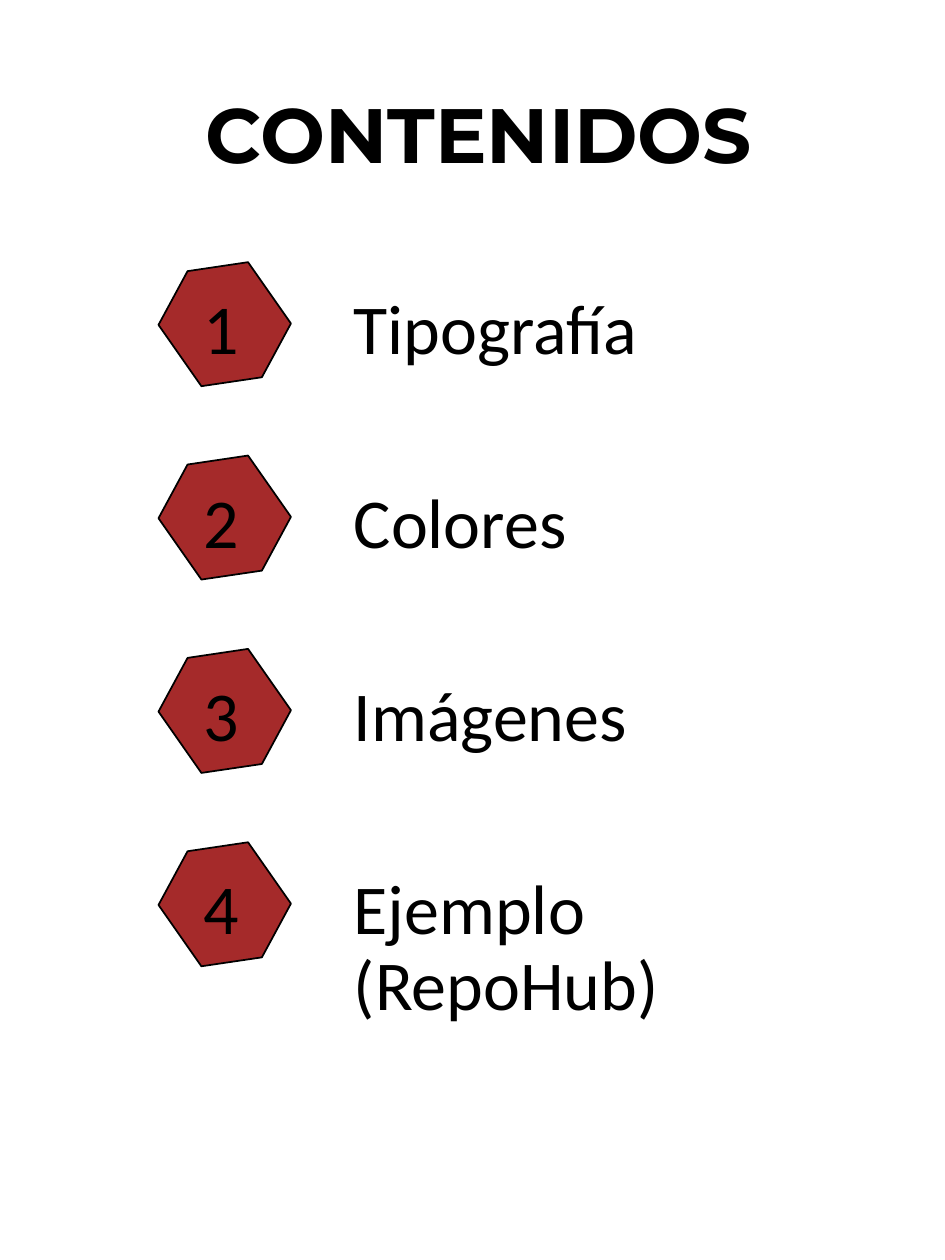
import pptx
import pptx.dml.color
import pptx.enum.shapes
import pptx.enum.text
import pptx.util

Pt = pptx.util.Pt
BLACK = pptx.dml.color.RGBColor(0x00, 0x00, 0x00)
BROWN = pptx.dml.color.RGBColor(0xA5, 0x2A, 0x2A)
TOPICS = [
    ("Tipografía", 223),
    ("Colores", 223),
    ("Imágenes", 223),
    ("Ejemplo (RepoHub)", 310),
]
ROW_PITCH = 110.5


def add_title(page, left, top, width, height):
    """Place the centred heading in the title placeholder."""
    title = page.shapes.title
    title.left, title.top = Pt(left), Pt(top)
    title.width, title.height = Pt(width), Pt(height)
    frame = title.text_frame
    frame.text = "CONTENIDOS"
    frame.auto_size = pptx.enum.text.MSO_AUTO_SIZE.NONE
    frame.vertical_anchor = pptx.enum.text.MSO_ANCHOR.MIDDLE
    para = frame.paragraphs[0]
    para.alignment = pptx.enum.text.PP_ALIGN.CENTER
    para.font.name = "Montserrat"
    para.font.size = Pt(44)
    para.font.bold = True
    para.font.color.rgb = BLACK


def add_label(page, text, left, top, width, height):
    """Place one line of large body text."""
    box = page.shapes.add_textbox(Pt(left), Pt(top), Pt(width), Pt(height))
    frame = box.text_frame
    frame.word_wrap = True
    frame.margin_top = Pt(5)
    frame.text = text
    para = frame.paragraphs[0]
    para.line_spacing = 0.9
    para.font.name = "Calibri"
    para.font.size = Pt(40)
    para.font.color.rgb = BLACK


def add_topic(page, number, topic, topic_width, left, top):
    """Place a numbered hexagon with its topic to the right."""
    hexagon = page.shapes.add_shape(
        pptx.enum.shapes.MSO_SHAPE.HEXAGON, Pt(left), Pt(top), Pt(74), Pt(62.5)
    )
    hexagon.rotation = 55
    hexagon.shadow.inherit = False
    hexagon.fill.solid()
    hexagon.fill.fore_color.rgb = BROWN
    hexagon.line.color.rgb = BLACK
    hexagon.line.width = Pt(1)
    add_label(page, str(number), left + 18, top + 9.2, 40, 44.6)
    add_label(page, topic, left + 103.7, top + 9.2, topic_width, 44.6)


def main():
    """Build the contents page and save it."""
    deck = pptx.Presentation()
    deck.slide_width, deck.slide_height = Pt(540), Pt(720)
    page = deck.slides.add_slide(deck.slide_layouts[5])
    add_title(page, 54.7, 45.4, 437.8, 60.5)
    for index, (topic, width) in enumerate(TOPICS):
        add_topic(page, index + 1, topic, width, 91.4, 154 + index * ROW_PITCH)
    deck.save("out.pptx")


if __name__ == "__main__":
    main()
